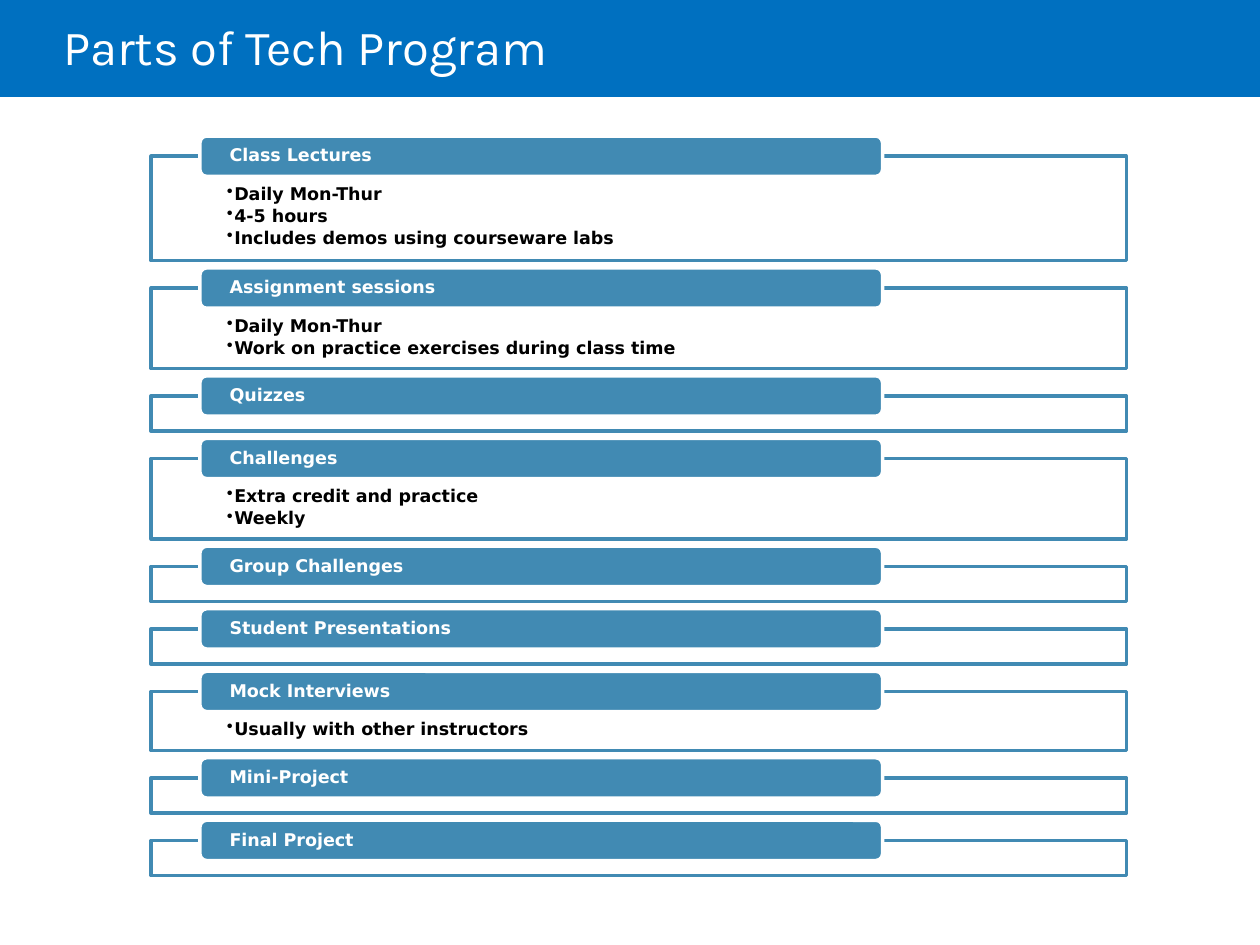
import dataclasses

import lxml.etree
import pptx
import pptx.dml.color
import pptx.enum.shapes
import pptx.enum.text
import pptx.oxml.ns
import pptx.util

GRID_COLUMNS, GRID_ROWS = 100, 75
UNIT = pptx.util.Inches(0.1)


@dataclasses.dataclass(frozen=True)
class Theme:
    band: str = "0070C0"
    accent: str = "418AB3"
    paper: str = "FFFFFF"
    ink: str = "000000"
    title_font: str = "Karla"
    body_font: str = "DejaVu Sans"
    title_size: float = 28
    body_size: float = 10
    line_width: float = 2


@dataclasses.dataclass(frozen=True)
class Box:
    column: float
    row: float
    columns: float
    rows: float

    def lengths(self):
        sides = (self.column, self.row, self.columns, self.rows)
        return [pptx.util.Emu(round(side * UNIT)) for side in sides]


THEME = Theme()
BODY_ROWS = {0: 2.8, 1: 4.7, 2: 6.4, 3: 8.3}
LABEL_OVERLAP = 1.6
PARTS = [
    ("Class Lectures",
     ["Daily Mon-Thur", "4-5 hours", "Includes demos using courseware labs"]),
    ("Assignment sessions",
     ["Daily Mon-Thur", "Work on practice exercises during class time"]),
    ("Quizzes", []),
    ("Challenges", ["Extra credit and practice", "Weekly"]),
    ("Group Challenges", []),
    ("Student Presentations", []),
    ("Mock Interviews", ["Usually with other instructors"]),
    ("Mini-Project", []),
    ("Final Project", []),
]


def color(value):
    return pptx.dml.color.RGBColor.from_string(value)


def add_panel(page, kind, box, fill, line=None):
    shape = page.shapes.add_shape(kind, *box.lengths())
    shape.shadow.inherit = False
    shape.fill.solid()
    shape.fill.fore_color.rgb = color(fill)
    if line:
        shape.line.color.rgb = color(line)
        shape.line.width = pptx.util.Pt(THEME.line_width)
    else:
        shape.line.fill.background()
    return shape


def set_frame(shape, insets, anchor):
    frame = shape.text_frame
    frame.word_wrap = True
    frame.vertical_anchor = anchor
    sides = [pptx.util.Emu(round(inset * UNIT)) for inset in insets]
    frame.margin_left, frame.margin_top, frame.margin_right, frame.margin_bottom = sides
    return frame


def format_paragraph(para, font, size, ink, spacing, bold=False):
    para.alignment = pptx.enum.text.PP_ALIGN.LEFT
    para.line_spacing = spacing
    para.font.name = font
    para.font.size = pptx.util.Pt(size)
    para.font.color.rgb = color(ink)
    para.font.bold = bold


def add_bullet(para):
    properties = para._p.get_or_add_pPr()
    indent = round(0.6 * UNIT)
    properties.set("marL", str(indent))
    properties.set("indent", str(-indent))
    bullet = lxml.etree.SubElement(properties, pptx.oxml.ns.qn("a:buChar"))
    bullet.set("char", "•")


def fill_title(page, box, text):
    band = add_panel(page, pptx.enum.shapes.MSO_SHAPE.RECTANGLE, box, THEME.band)
    page.shapes._spTree.insert(2, band._element)
    title = page.shapes.title
    title_box = Box(box.column + 5, box.row, box.columns * 0.85, box.rows + 0.4)
    title.left, title.top, title.width, title.height = title_box.lengths()
    frame = set_frame(title, (0, 0.5, 1, 0.5), pptx.enum.text.MSO_ANCHOR.MIDDLE)
    frame.text = text
    format_paragraph(frame.paragraphs[0], THEME.title_font, THEME.title_size,
                     THEME.paper, 0.85)


def add_part(page, box, heading, details):
    body = add_panel(page, pptx.enum.shapes.MSO_SHAPE.RECTANGLE, box,
                     THEME.paper, THEME.accent)
    if details:
        frame = set_frame(body, (6, 2.3, 6, 0.8), pptx.enum.text.MSO_ANCHOR.TOP)
        frame.text = "\n".join(details)
        for para in frame.paragraphs:
            format_paragraph(para, THEME.body_font, THEME.body_size,
                             THEME.ink, 0.9, True)
            para.level = 1
            para.space_after = pptx.util.Pt(THEME.body_size * 0.18)
            add_bullet(para)

    label_box = Box(box.column + box.columns * 0.05, box.row - LABEL_OVERLAP,
                    box.columns * 0.7, 2 * LABEL_OVERLAP - 0.25)
    label_box = dataclasses.replace(label_box, rows=2 * LABEL_OVERLAP)
    label = add_panel(page, pptx.enum.shapes.MSO_SHAPE.ROUNDED_RECTANGLE,
                      label_box, THEME.accent, THEME.paper)
    frame = set_frame(label, (2.2, 0, 2.2, 0), pptx.enum.text.MSO_ANCHOR.MIDDLE)
    frame.text = heading
    format_paragraph(frame.paragraphs[0], THEME.body_font, THEME.body_size,
                     THEME.paper, 0.9, True)


def add_part_list(page, box, parts):
    heights = [BODY_ROWS[len(details)] for heading, details in parts]
    gap = (box.rows - sum(heights)) / (len(parts) - 1)
    row = box.row
    for (heading, details), height in zip(parts, heights):
        add_part(page, Box(box.column, row, box.columns, height), heading, details)
        row += height + gap


def main():
    deck = pptx.Presentation()
    deck.slide_width = GRID_COLUMNS * UNIT
    deck.slide_height = GRID_ROWS * UNIT
    page = deck.slides.add_slide(deck.slide_layouts.get_by_name("Title Only"))
    fill_title(page, Box(0, 0, GRID_COLUMNS, 7.7), "Parts of Tech Program")
    add_part_list(page, Box(12, 12.4, 77.4, 57.1), PARTS)
    deck.save("out.pptx")


if __name__ == "__main__":
    main()
